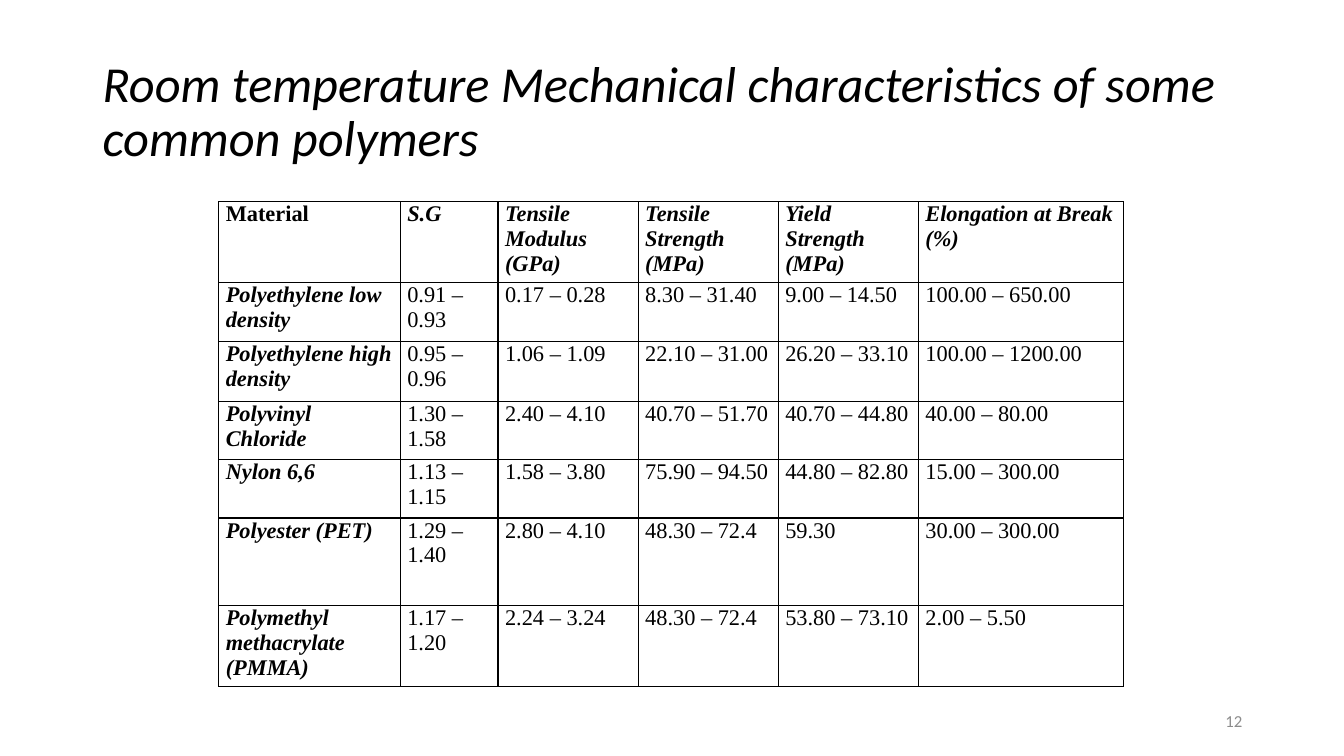
from dataclasses import dataclass

from lxml import etree
from pptx import Presentation
from pptx import util as u
from pptx.dml.color import RGBColor
from pptx.enum import text
from pptx.oxml import ns

BLACK = RGBColor(0x00, 0x00, 0x00)
GREY = RGBColor(0x8C, 0x8C, 0x8C)
COLS = (1.8, 0.97, 1.39, 1.39, 1.39, 2.03)
ROWS = (0.59, 0.59, 0.59, 0.58, 0.58, 0.87, 0.59)
HEADERS = ("Material", "S.G", "Tensile Modulus (GPa)", "Tensile Strength (MPa)",
           "Yield Strength (MPa)", "Elongation at Break (%)")


@dataclass(frozen=True)
class Style:
    font: str
    size: float
    color: RGBColor = BLACK
    bold: bool = False
    italic: bool = False


@dataclass(frozen=True)
class Label:
    content: str
    left: float
    top: float
    width: float
    height: float
    style: Style
    align: text.PP_ALIGN = text.PP_ALIGN.LEFT
    spacing: float = 1.0


@dataclass(frozen=True)
class Polymer:
    name: str
    gravity: str
    modulus: str
    tensile: str
    yielding: str
    elongation: str

    def values(self) -> tuple[str, ...]:
        return (self.name, self.gravity, self.modulus,
                self.tensile, self.yielding, self.elongation)


LABELS = (
    Label("Room temperature Mechanical characteristics of some common polymers",
          0.92, 0.4, 11.5, 1.45, Style("Calibri", 36, italic=True), spacing=0.9),
    Label("12", 9.42, 6.95, 3, 0.4, Style("Calibri", 12, GREY), text.PP_ALIGN.RIGHT),
)
POLYMERS = (
    Polymer("Polyethylene low density", "0.91 – 0.93", "0.17 – 0.28",
            "8.30 – 31.40", "9.00 – 14.50", "100.00 – 650.00"),
    Polymer("Polyethylene high density", "0.95 – 0.96", "1.06 – 1.09",
            "22.10 – 31.00", "26.20 – 33.10", "100.00 – 1200.00"),
    Polymer("Polyvinyl Chloride", "1.30 – 1.58", "2.40 – 4.10",
            "40.70 – 51.70", "40.70 – 44.80", "40.00 – 80.00"),
    Polymer("Nylon 6,6", "1.13 – 1.15", "1.58 – 3.80",
            "75.90 – 94.50", "44.80 – 82.80", "15.00 – 300.00"),
    Polymer("Polyester (PET)", "1.29 – 1.40", "2.80 – 4.10",
            "48.30 – 72.4", "59.30", "30.00 – 300.00"),
    Polymer("Polymethyl methacrylate (PMMA)", "1.17 – 1.20", "2.24 – 3.24",
            "48.30 – 72.4", "53.80 – 73.10", "2.00 – 5.50"),
)


def add_run(p, content: str, style: Style) -> None:
    r = p.add_run()
    r.text = content
    r.font.name = style.font
    r.font.size = u.Pt(style.size)
    r.font.color.rgb = style.color
    r.font.bold = style.bold
    r.font.italic = style.italic


def add_label(s, label: Label) -> None:
    sp = s.shapes.add_textbox(u.Inches(label.left), u.Inches(label.top),
                              u.Inches(label.width), u.Inches(label.height))
    tf = sp.text_frame
    tf.word_wrap = True
    tf.vertical_anchor = text.MSO_ANCHOR.MIDDLE
    p = tf.paragraphs[0]
    p.alignment = label.align
    p.line_spacing = label.spacing
    add_run(p, label.content, label.style)


def add_borders(cell) -> None:
    tc_pr = cell._tc.get_or_add_tcPr()
    for i, side in enumerate(("lnL", "lnR", "lnT", "lnB")):
        ln = etree.Element(ns.qn(f"a:{side}"), w=str(u.Pt(1)))
        fill = etree.SubElement(ln, ns.qn("a:solidFill"))
        etree.SubElement(fill, ns.qn("a:srgbClr"), val=str(BLACK))
        tc_pr.insert(i, ln)


def fill_cell(cell, content: str, style: Style) -> None:
    cell.margin_left = cell.margin_right = u.Inches(0.07)
    cell.margin_top = cell.margin_bottom = 0
    cell.fill.background()
    add_borders(cell)
    add_run(cell.text_frame.paragraphs[0], content, style)


def add_polymer_table(s) -> None:
    frame = s.shapes.add_table(len(ROWS), len(COLS), u.Inches(2.17), u.Inches(2),
                               u.Inches(sum(COLS)), u.Inches(sum(ROWS)))
    table = frame.table
    table.first_row = table.horz_banding = False
    for column, width in zip(table.columns, COLS):
        column.width = u.Inches(width)
    for row, height in zip(table.rows, ROWS):
        row.height = u.Inches(height)
    for i, values in enumerate((HEADERS, *(polymer.values() for polymer in POLYMERS))):
        for j, value in enumerate(values):
            heading = i == 0 or j == 0
            style = Style("Times New Roman", 16, bold=heading,
                          italic=heading and (i, j) != (0, 0))
            fill_cell(table.cell(i, j), value, style)


def main() -> None:
    prs = Presentation()
    prs.slide_width = u.Inches(13.33)
    prs.slide_height = u.Inches(7.5)
    s = prs.slides.add_slide(prs.slide_layouts[6])
    title, number = LABELS
    add_label(s, title)
    add_polymer_table(s)
    add_label(s, number)
    prs.save("out.pptx")


if __name__ == "__main__":
    main()
